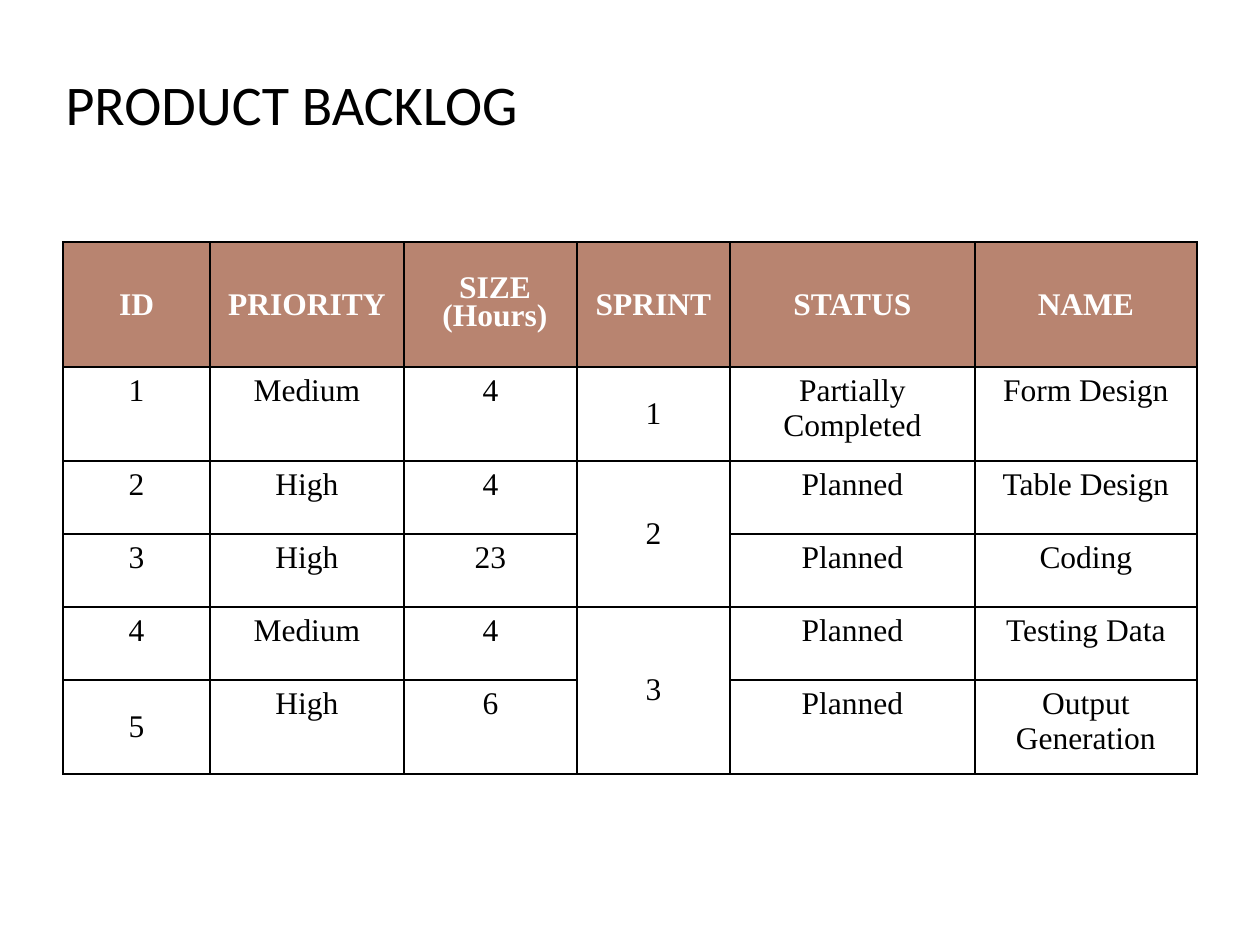
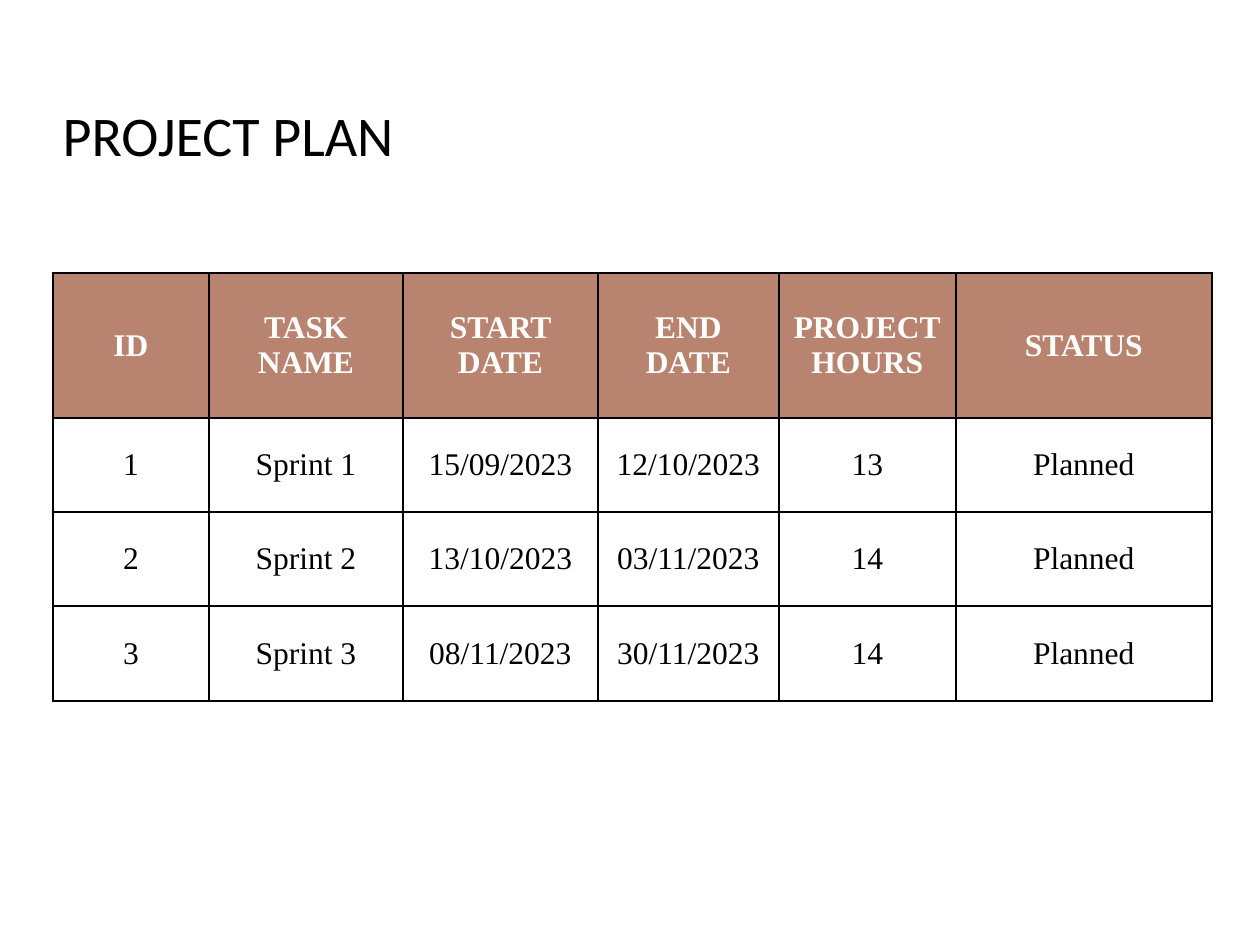
from lxml import etree
from pptx import Presentation
from pptx.dml.color import RGBColor
from pptx.enum.text import MSO_ANCHOR, MSO_AUTO_SIZE, PP_ALIGN
from pptx.oxml.ns import qn
from pptx.util import Pt

PX = 914400 // 126  # EMU per pixel
LEFT, CENTER = PP_ALIGN.LEFT, PP_ALIGN.CENTER
TOP, MIDDLE = MSO_ANCHOR.TOP, MSO_ANCHOR.MIDDLE
FIT_SHAPE = MSO_AUTO_SIZE.SHAPE_TO_FIT_TEXT
COLORS = {"header": "B88470", "body": "FFFFFF", "header_text": "FFFFFF",
          "text": "000000", "border": "000000"}
TITLE_FONT, TABLE_FONT = "Calibri", "Times New Roman"
TITLE_ONLY = 5


def add_borders(cell):
    """Draw a 1 pt line on all four sides of a cell."""
    tcPr = cell._tc.get_or_add_tcPr()
    for i, side in enumerate(("a:lnL", "a:lnR", "a:lnT", "a:lnB")):
        ln = etree.Element(qn(side), w=str(Pt(1)))
        fill = etree.SubElement(ln, qn("a:solidFill"))
        etree.SubElement(fill, qn("a:srgbClr"), val=COLORS["border"])
        tcPr.insert(i, ln)


def add_table_slide(title, title_box, origin, widths, heights, rows, top_cells=()):
    """Add a slide with a title and a bordered table; return the table."""
    s = prs.slides.add_slide(prs.slide_layouts[TITLE_ONLY])
    sp = s.shapes.title
    sp.left, sp.top, sp.width, sp.height = [v * PX for v in title_box]
    tf = sp.text_frame
    tf.text = title
    tf.word_wrap = False
    tf.auto_size = FIT_SHAPE
    tf.vertical_anchor = TOP
    p = tf.paragraphs[0]
    p.alignment = LEFT
    font = p.runs[0].font
    font.name, font.size = TITLE_FONT, Pt(32)
    font.color.rgb = RGBColor.from_string(COLORS["text"])

    x, y = origin
    table = s.shapes.add_table(len(rows), len(widths), x * PX, y * PX,
                               sum(widths) * PX, sum(heights) * PX).table
    table.horz_banding = False
    for column, width in zip(table.columns, widths):
        column.width = width * PX
    for row, height in zip(table.rows, heights):
        row.height = height * PX
    for i, row in enumerate(rows):
        header = i == 0
        for j, text in enumerate(row):
            cell = table.cell(i, j)
            cell.text = text
            cell.vertical_anchor = TOP if (i, j) in top_cells else MIDDLE
            cell.fill.solid()
            cell.fill.fore_color.rgb = RGBColor.from_string(
                COLORS["header" if header else "body"])
            add_borders(cell)
            for p in cell.text_frame.paragraphs:
                p.alignment = CENTER
                for r in p.runs:
                    r.font.name, r.font.size, r.font.bold = TABLE_FONT, Pt(18), header
                    r.font.color.rgb = RGBColor.from_string(
                        COLORS["header_text" if header else "text"])
    return table


prs = Presentation()
prs.slide_width, prs.slide_height = 1260 * PX, 945 * PX

# Slide 1: product backlog
backlog = [
    ["ID", "PRIORITY", "SIZE\n(Hours)", "SPRINT", "STATUS", "NAME"],
    ["1", "Medium", "4", "1", "Partially Completed", "Form Design"],
    ["2", "High", "4", "2", "Planned", "Table Design"],
    ["3", "High", "23", "", "Planned", "Coding"],
    ["4", "Medium", "4", "3", "Planned", "Testing Data"],
    ["5", "High", "6", "", "Planned", "Output Generation"],
]
SPRINT = 3
top_cells = {(i, j) for i in range(1, 6) for j in range(6) if j != SPRINT} - {(5, 0)}
table = add_table_slide("PRODUCT BACKLOG", (53, 63, 483, 81), (63, 242),
                        [147, 194, 173, 153, 245, 222], [125, 94, 73, 73, 73, 94],
                        backlog, top_cells)
for first in (2, 4):
    table.cell(first, SPRINT).merge(table.cell(first + 1, SPRINT))
for p in table.cell(0, 2).text_frame.paragraphs:
    p.line_spacing = 0.79
    p._p.get_or_add_pPr().set("marL", str(9 * PX))

# Slide 2: project plan
plan = [
    ["ID", "TASK NAME", "START DATE", "END DATE", "PROJECT\nHOURS", "STATUS"],
    ["1", "Sprint 1", "15/09/2023", "12/10/2023", "13", "Planned"],
    ["2", "Sprint 2", "13/10/2023", "03/11/2023", "14", "Planned"],
    ["3", "Sprint 3", "08/11/2023", "30/11/2023", "14", "Planned"],
]
add_table_slide("PROJECT PLAN", (50, 94, 359, 81), (53, 273),
                [156, 194, 195, 181, 177, 256], [145, 94, 94, 95], plan)

prs.save("out.pptx")
